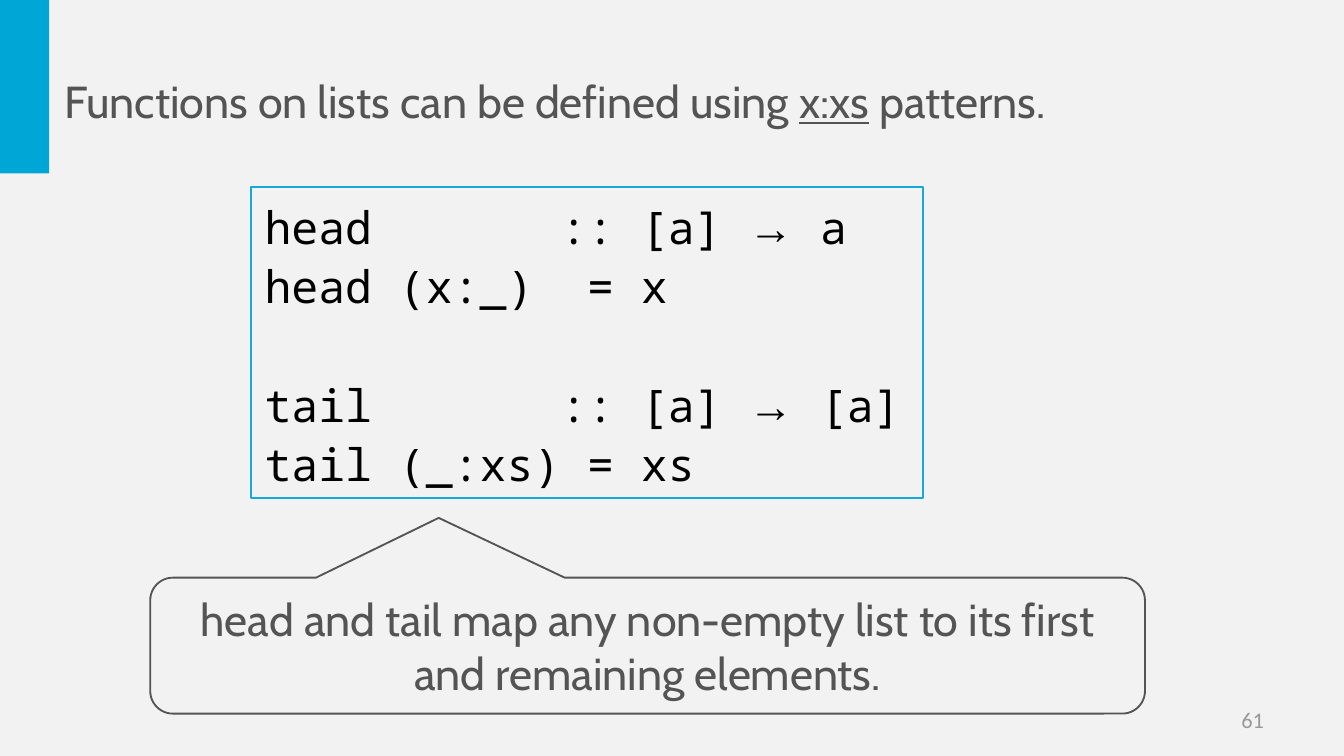
from pptx import Presentation
from pptx import util as u
from pptx.dml.color import RGBColor
from pptx.enum import shapes, text

CYAN, GREY = "00A6D6", "545454"


def paint(color_format, value):
    color_format.rgb = RGBColor.from_string(value)


def style(para, font, size, color, align=text.PP_ALIGN.LEFT):
    para.alignment = align
    para.font.name = font
    para.font.size = u.Pt(size)
    paint(para.font.color, color)


deck = Presentation()
deck.slide_width, deck.slide_height = u.Cm(25.4), u.Cm(14.29)
page = deck.slides.add_slide(deck.slide_layouts[5])
page.background.fill.solid()
paint(page.background.fill.fore_color, "F2F2F2")

accent = page.shapes.add_shape(shapes.MSO_SHAPE.RECTANGLE, 0, 0, u.Cm(0.93), u.Cm(3.28))
accent.shadow.inherit = False
accent.fill.solid()
paint(accent.fill.fore_color, CYAN)
accent.line.fill.background()

number = page.shapes.add_textbox(u.Cm(18.21), u.Cm(13.23), u.Cm(5.93), u.Cm(0.76))
number.text_frame.word_wrap = True
number.text_frame.vertical_anchor = text.MSO_ANCHOR.MIDDLE
number.text_frame.text = "61"
style(number.text_frame.paragraphs[0], "Calibri", 12, "999999", text.PP_ALIGN.RIGHT)

title = page.shapes.title
title.left, title.top, title.width, title.height = u.Cm(0.97), u.Cm(1.27), u.Cm(23.85), u.Cm(1.27)
title.text_frame.auto_size = text.MSO_AUTO_SIZE.NONE
title.text_frame.vertical_anchor = text.MSO_ANCHOR.MIDDLE
para = title.text_frame.paragraphs[0]
style(para, "Cabin", 24, GREY)
for words in ("Functions on lists can be defined using ", "x:xs", " patterns."):
    span = para.add_run()
    span.text = words
    span.font.underline = words == "x:xs"

code = page.shapes.add_shape(
    shapes.MSO_SHAPE.RECTANGLE, u.Cm(4.75), u.Cm(3.53), u.Cm(12.7), u.Cm(5.89))
callout = page.shapes.add_shape(
    shapes.MSO_SHAPE.ROUNDED_RECTANGULAR_CALLOUT, u.Cm(2.84), u.Cm(10.92), u.Cm(18.8), u.Cm(2.57))
callout.adjustments[0], callout.adjustments[1] = -0.21, -0.94
for box, outline in ((code, "15A8DB"), (callout, GREY)):
    box.shadow.inherit = False
    box.fill.background()
    paint(box.line.color, outline)
    box.line.width = u.Pt(1)
    box.text_frame.vertical_anchor = text.MSO_ANCHOR.MIDDLE

code.text_frame.word_wrap = False
code_lines = (
    "head       :: [a] → a",
    "head (x:_)  = x",
    "tail       :: [a] → [a]",
    "tail (_:xs) = xs",
)
for index, line in enumerate(code_lines):
    para = code.text_frame.add_paragraph() if index else code.text_frame.paragraphs[0]
    style(para, "Noto Sans Mono", 24, "000000")
    para.line_spacing = 1.1
    if index == 2:
        para.space_before = u.Pt(31.7)
    before, arrow, after = line.partition("→")
    for words in filter(None, (before, arrow, after)):
        span = para.add_run()
        span.text = words
        if words == "→":
            span.font.name = "Times New Roman"

callout.text_frame.word_wrap = True
callout.text_frame.text = "head and tail map any non-empty list to its first and remaining elements."
style(callout.text_frame.paragraphs[0], "Cabin", 24, GREY, text.PP_ALIGN.CENTER)

deck.save("out.pptx")
